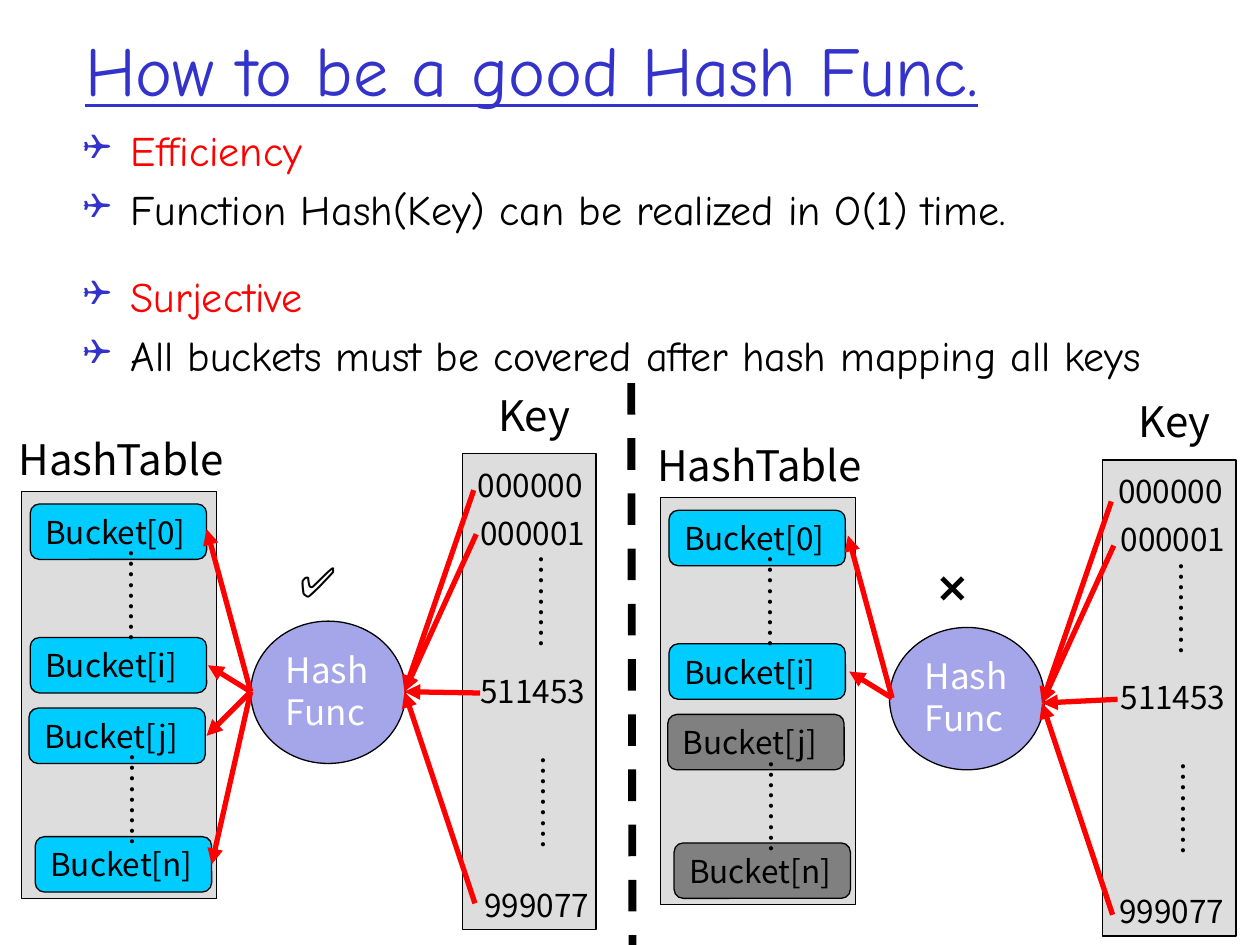
from dataclasses import dataclass

from lxml import etree
from pptx import Presentation
from pptx import util as u
from pptx.dml.color import RGBColor as Rgb
from pptx.enum import dml, shapes, text
from pptx.oxml.ns import qn

In, Pt = u.Inches, u.Pt
Kind, Mid, Top = shapes.MSO_SHAPE, text.MSO_ANCHOR.MIDDLE, text.MSO_ANCHOR.TOP


@dataclass(frozen=True)
class Theme:
    blue: str = "3333CC"
    red: str = "FF0000"
    black: str = "000000"
    white: str = "FFFFFF"
    gray: str = "DDDDDD"
    cyan: str = "00CCFF"
    dark: str = "808080"
    lilac: str = "A5A5E9"
    hand: str = "Comic Neue"
    sans: str = "Noto Sans CJK JP"
    serif: str = "Times New Roman"
    title: int = 40
    head: int = 24
    func: int = 20
    item: int = 18


T = Theme()


def style(para, size, color, face):
    font = para.font
    font.size, font.name = Pt(size), face
    font.color.rgb = Rgb.from_string(color)


def label(slide, box, words, size, color=T.black, face=T.sans, center=True, turn=0):
    part = slide.shapes.add_textbox(*map(In, box))
    part.rotation = turn
    frame = part.text_frame
    frame.word_wrap, frame.vertical_anchor = True, Mid
    para = frame.paragraphs[0]
    para.text = words
    para.alignment = text.PP_ALIGN.CENTER if center else text.PP_ALIGN.LEFT
    style(para, size, color, face)
    return para


def block(slide, kind, box, fill, words="", size=T.item, color=T.black, anchor=Mid):
    part = slide.shapes.add_shape(kind, *map(In, box))
    part.shadow.inherit = False
    part.fill.solid()
    part.fill.fore_color.rgb = Rgb.from_string(fill)
    part.line.color.rgb = Rgb.from_string(T.black)
    part.line.width = Pt(0.75)
    if not words:
        return None
    frame = part.text_frame
    frame.word_wrap, frame.vertical_anchor = True, anchor
    para = frame.paragraphs[0]
    para.text = words
    para.alignment = text.PP_ALIGN.LEFT
    style(para, size, color, T.sans)
    return para


def stroke(slide, start, end, color, width):
    line = slide.shapes.add_connector(
        shapes.MSO_CONNECTOR.STRAIGHT, *map(In, (*start, *end)))
    line.line.color.rgb = Rgb.from_string(color)
    line.line.width = Pt(width)
    etree.SubElement(line._element.spPr, qn("a:effectLst"))
    return line


def arrow(slide, start, end):
    line = stroke(slide, start, end, T.red, 3)
    etree.SubElement(line.line._get_or_add_ln(), qn("a:tailEnd"), type="triangle")


def bullet(para):
    props = para._p.get_or_add_pPr()
    props.set("marL", str(In(0.38)))
    props.set("indent", str(-In(0.38)))
    tint = etree.SubElement(props, qn("a:buClr"))
    etree.SubElement(tint, qn("a:srgbClr"), val=T.blue)
    etree.SubElement(props, qn("a:buSzPct"), val="85000")
    etree.SubElement(props, qn("a:buFont"), typeface="Wingdings")
    etree.SubElement(props, qn("a:buChar"), char="❑")


def points(slide, box, head, body):
    frame = slide.shapes.add_textbox(*map(In, box)).text_frame
    frame.word_wrap, frame.vertical_anchor = True, Top
    rows = frame.paragraphs[0], frame.add_paragraph()
    for para, words, color in zip(rows, (head, body), (T.red, T.black)):
        para.text = words
        bullet(para)
        style(para, T.head, color, T.hand)
    rows[1].space_before = Pt(4.8)


def dots(slide, left, top):
    label(slide, (left, top, 2.26, 0.4), "………", T.item, turn=90)


def table(slide, x, y, fills):
    label(slide, (x - 0.34, y - 0.51, 2.26, 0.5), "HashTable", T.head)
    block(slide, Kind.RECTANGLE, (x, y, 1.55, 3.23), T.gray)
    spots = (0.07, 0.1), (0.07, 1.16), (0.06, 1.72), (0.11, 2.74)
    for (dx, dy), name, fill in zip(spots, "0ijn", fills):
        block(slide, Kind.ROUNDED_RECTANGLE, (x + dx, y + dy, 1.4, 0.44),
              fill, f"Bucket[{name}]")
    dots(slide, x - 0.25, y + 0.63)
    dots(slide, x - 0.24, y + 2.25)


def keys(slide, x, y, last):
    label(slide, (x - 0.56, y - 0.56, 2.26, 0.5), "Key", T.head)
    block(slide, Kind.RECTANGLE, (x, y, 1.06, 3.78), T.gray)
    rows = ((-0.59, 0.05, "000000"), (-0.57, 0.43, "000001"),
            (-0.57, 1.68, "511453"), (last, 3.38, "999077"))
    for dx, dy, key in rows:
        label(slide, (x + dx, y + dy, 2.26, 0.4), key, T.item)
    dots(slide, x - 0.5, y + 0.98)
    dots(slide, x - 0.48, y + 2.57)


def func(slide, x, y, mark):
    para = block(slide, Kind.OVAL, (x, y, 1.23, 1.13), T.lilac,
                 "Hash Func.", T.func, T.white, Top)
    para.line_spacing = Pt(24)
    label(slide, (x + 0.29, y - 0.57, 0.64, 0.5), mark, T.head,
          face=T.serif, center=False)


def fan(slide, hub, ends, inward):
    # Ends are offsets from the hub
    for dx, dy in ends:
        tip = hub[0] + dx, hub[1] + dy
        arrow(slide, *((tip, hub) if inward else (hub, tip)))


def panel(slide, x, y, mark, fills, last, hit, ins, out):
    table(slide, x + 0.17, y + 3.9, fills)
    keys(slide, x + 3.67 + (0.01 if x else 0), y + 3.6, last)
    func(slide, x + 1.99, y + 4.93, mark)
    # Key arrows, then one arrow for each bucket that is reached
    fan(slide, ins, ((0.55, -1.6), (0.57, -1.25), (0.6, hit), (0.56, 1.68)), True)
    tips = (-0.35, -1.29), (-0.34, -0.21), (-0.35, 0.35), (-0.31, 1.37)
    fan(slide, out, tips[:fills.count(T.cyan)], False)


def main():
    deck = Presentation()
    deck.slide_width, deck.slide_height = In(10), In(7.5)
    slide = deck.slides.add_slide(deck.slide_layouts[6])

    # Title and points
    title = label(slide, (0.58, 0.25, 8.5, 0.59), "How to be a good Hash Func.",
                  T.title, T.blue, T.hand, center=False)
    title.font.underline = True
    points(slide, (0.56, 0.94, 9.4, 0.94), "Efficiency",
           "Function Hash(Key) can be realized in O(1) time.")
    points(slide, (0.56, 2.1, 9.4, 0.94), "Surjective",
           "All buckets must be covered after hash mapping all keys")

    # Good and bad mapping
    panel(slide, 0, 0, "✅", [T.cyan] * 4, -0.54, 0.01, (3.21, 5.49), (1.99, 5.49))
    panel(slide, 5.07, 0.05, "❌", [T.cyan] * 2 + [T.dark] * 2, -0.58, -0.03,
          (8.27, 5.58), (7.08, 5.54))

    # Divider
    rule = stroke(slide, (5.01, 3.04), (5.02, 7.5), T.black, 4.5)
    rule.line.dash_style = dml.MSO_LINE.DASH

    deck.save("out.pptx")


if __name__ == "__main__":
    main()
